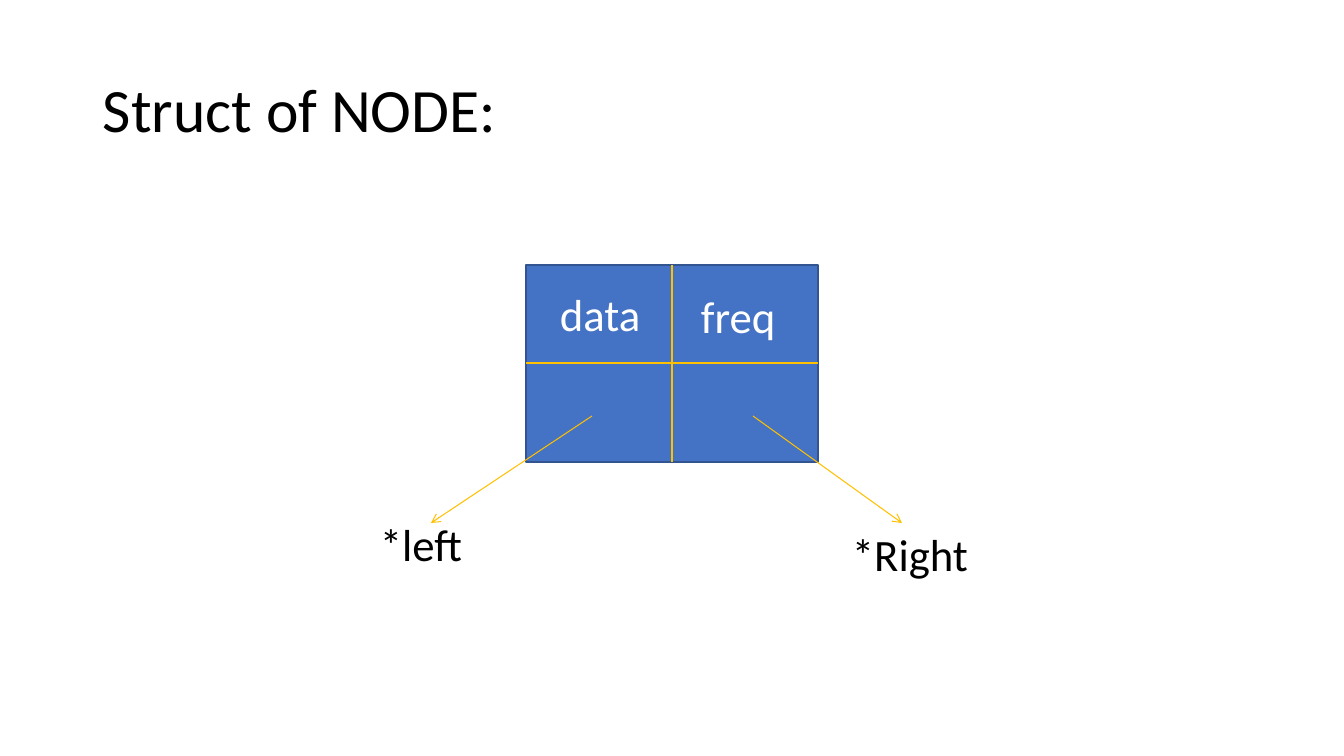
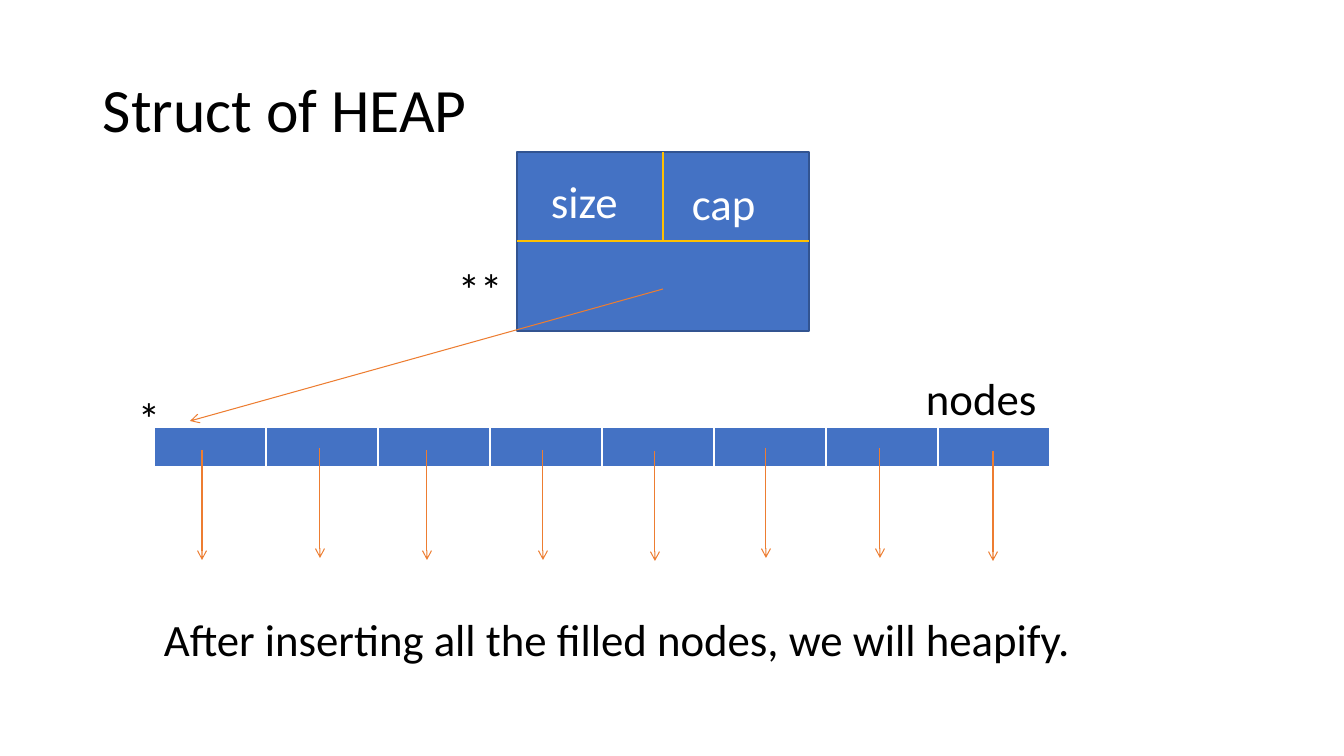
from dataclasses import dataclass
from typing import Any, NamedTuple

from lxml.etree import SubElement
from pptx import Presentation
from pptx.dml.color import RGBColor
from pptx.enum.shapes import MSO_CONNECTOR as Connector, MSO_SHAPE as Preset
from pptx.enum.text import MSO_ANCHOR as Anchor, MSO_AUTO_SIZE as AutoSize
from pptx.oxml import parse_xml
from pptx.oxml.ns import nsdecls, qn
from pptx.slide import Slide
from pptx.util import Emu, Pt

EMU_PER_PIXEL = 914400 / 100.8


@dataclass(frozen=True)
class Theme:
    """Colours, type sizes and line widths shared by the slides."""

    font: str = "Calibri"
    black: str = "000000"
    white: str = "FFFFFF"
    blue: str = "4472C4"
    outline: str = "325491"
    gold: str = "FFC000"
    orange: str = "ED7D31"
    title_size: float = 44
    body_size: float = 32
    outline_width: float = 1
    divider_width: float = 1.5
    arrow_width: float = 0.75
    cell_border: float = 1
    cell_bottom_border: float = 3


THEME = Theme()


class Point(NamedTuple):
    """A place on the slide, in pixels."""

    x: int
    y: int


class Box(NamedTuple):
    """A rectangle on the slide, in pixels."""

    left: int
    top: int
    width: int
    height: int


class Label(NamedTuple):
    """A body text and the place of its box."""

    text: str
    left: int
    top: int
    width: int = 122


class Arrow(NamedTuple):
    """A pointer from start to end."""

    start: Point
    end: Point


class Struct(NamedTuple):
    """A struct drawn as a box with two named fields above its pointers."""

    box: Box
    fields: tuple[str, str]
    split_pointers: bool


TITLE_BOX = Box(93, 40, 1159, 146)
LABEL_HEIGHT = 64
FIELD_OFFSETS = (Point(24, 17), Point(165, 19))

NODE = Struct(Box(526, 265, 292, 197), ("data", "freq"), True)
NODE_ARROWS = (
    Arrow(Point(592, 416), Point(431, 523)),
    Arrow(Point(753, 416), Point(902, 523)),
)
NODE_LABELS = (Label("*left", 370, 512), Label("*Right", 842, 522, 142))

HEAP = Struct(Box(517, 152, 292, 179), ("size", "cap"), False)
HEAP_ARROW = Arrow(Point(663, 289), Point(190, 421))
HEAP_LABELS = (
    Label("**", 448, 257),
    Label("*", 128, 386),
    Label("nodes", 916, 366, 153),
    Label("After inserting all the filled nodes, we will heapify.", 154, 607, 950),
)
ARRAY_BOX = Box(154, 427, 896, 41)
ARRAY_ARROW_LENGTH = 110
ARRAY_ARROW_STARTS = (
    Point(202, 450), Point(320, 448), Point(427, 450), Point(543, 450),
    Point(655, 451), Point(766, 448), Point(880, 448), Point(993, 451),
)


def pixels(*lengths: int) -> tuple[Emu, ...]:
    """Turn pixel lengths into EMU."""
    return tuple(Emu(round(length * EMU_PER_PIXEL)) for length in lengths)


def apply_format(target: Any, values: dict[str, Any]) -> None:
    """Set each named attribute of the target."""
    for name, value in values.items():
        setattr(target, name, value)


def paint(fill: Any, colour: str) -> None:
    """Give a fill one solid colour."""
    fill.solid()
    fill.fore_color.rgb = RGBColor.from_string(colour)


def add_text(slide: Slide, box: Box, text: str, size: float, colour: str,
             frame_format: dict[str, Any], line_spacing: float = 1.0) -> None:
    """Add a wrapped text box with one paragraph."""
    frame = slide.shapes.add_textbox(*pixels(*box)).text_frame
    apply_format(frame, {"word_wrap": True} | frame_format)
    paragraph = frame.paragraphs[0]
    paragraph.line_spacing = line_spacing
    run = paragraph.add_run()
    run.text = text
    apply_format(run.font, {"name": THEME.font, "size": Pt(size)})
    run.font.color.rgb = RGBColor.from_string(colour)


def add_title(slide: Slide, text: str) -> None:
    """Add the slide title."""
    add_text(slide, TITLE_BOX, text, THEME.title_size, THEME.black,
             {"vertical_anchor": Anchor.MIDDLE}, 0.9)


def add_label(slide: Slide, label: Label, colour: str = THEME.black) -> None:
    """Add a body text whose box fits its text."""
    box = Box(label.left, label.top, label.width, LABEL_HEIGHT)
    add_text(slide, box, label.text, THEME.body_size, colour,
             {"auto_size": AutoSize.SHAPE_TO_FIT_TEXT})


def add_line(slide: Slide, start: Point, end: Point, colour: str,
             width: float, arrowhead: bool = False) -> None:
    """Add a straight line, with an open arrowhead at its end if asked."""
    connector = slide.shapes.add_connector(
        Connector.STRAIGHT, *pixels(*start, *end))
    connector.line.width = Pt(width)
    paint(connector.line.fill, colour)
    properties = connector.element.find(qn("p:spPr"))
    if arrowhead:
        SubElement(properties.find(qn("a:ln")), qn("a:tailEnd"), type="arrow")
    SubElement(properties, qn("a:effectLst"))


def add_arrow(slide: Slide, arrow: Arrow, colour: str) -> None:
    """Add a pointer arrow."""
    add_line(slide, arrow.start, arrow.end, colour, THEME.arrow_width, True)


def add_struct(slide: Slide, struct: Struct) -> None:
    """Draw a struct box with its dividers and field names."""
    left, top, width, height = struct.box
    shape = slide.shapes.add_shape(Preset.RECTANGLE, *pixels(*struct.box))
    shape.shadow.inherit = False
    paint(shape.fill, THEME.blue)
    paint(shape.line.fill, THEME.outline)
    shape.line.width = Pt(THEME.outline_width)

    centre, middle = left + width // 2, top + height // 2
    bottom = top + height if struct.split_pointers else middle
    dividers = (
        (Point(centre, top), Point(centre, bottom)),
        (Point(left, middle), Point(left + width, middle)),
    )
    for start, end in dividers:
        add_line(slide, start, end, THEME.gold, THEME.divider_width)
    for text, offset in zip(struct.fields, FIELD_OFFSETS):
        add_label(slide, Label(text, left + offset.x, top + offset.y),
                  THEME.white)


def add_array(slide: Slide, box: Box, count: int) -> None:
    """Add a one-row table of empty blue cells with white borders."""
    frame = slide.shapes.add_table(1, count, *pixels(*box))
    table = frame.table
    apply_format(table, {"first_row": False, "horz_banding": False})
    for column in table.columns:
        column.width = pixels(box.width // count)[0]
    for cell in table.iter_cells():
        paint(cell.fill, THEME.blue)
    borders = {side: THEME.cell_border for side in ("lnL", "lnR", "lnT")}
    borders["lnB"] = THEME.cell_bottom_border
    for properties in frame.element.iter(qn("a:tcPr")):
        for index, (side, width) in enumerate(borders.items()):
            properties.insert(index, parse_xml(
                f'<a:{side} {nsdecls("a")} w="{Pt(width)}"><a:solidFill>'
                f'<a:srgbClr val="{THEME.white}"/></a:solidFill></a:{side}>'))


def build_node_slide(slide: Slide) -> None:
    """Show a tree node and its two child pointers."""
    add_title(slide, "Struct of NODE:")
    add_struct(slide, NODE)
    for arrow in NODE_ARROWS:
        add_arrow(slide, arrow, THEME.gold)
    for label in NODE_LABELS:
        add_label(slide, label)


def build_heap_slide(slide: Slide) -> None:
    """Show the heap and its array of node pointers."""
    add_title(slide, "Struct of HEAP")
    add_struct(slide, HEAP)
    add_arrow(slide, HEAP_ARROW, THEME.orange)
    add_array(slide, ARRAY_BOX, len(ARRAY_ARROW_STARTS))
    for start in ARRAY_ARROW_STARTS:
        end = Point(start.x, start.y + ARRAY_ARROW_LENGTH)
        add_arrow(slide, Arrow(start, end), THEME.orange)
    for label in HEAP_LABELS:
        add_label(slide, label)


def main() -> None:
    """Build and save the presentation."""
    presentation = Presentation()
    width, height = pixels(1344, 756)
    apply_format(presentation, {"slide_width": width, "slide_height": height})
    blank_layout = presentation.slide_layouts[6]
    for build in (build_node_slide, build_heap_slide):
        build(presentation.slides.add_slide(blank_layout))
    presentation.save("out.pptx")


main()
